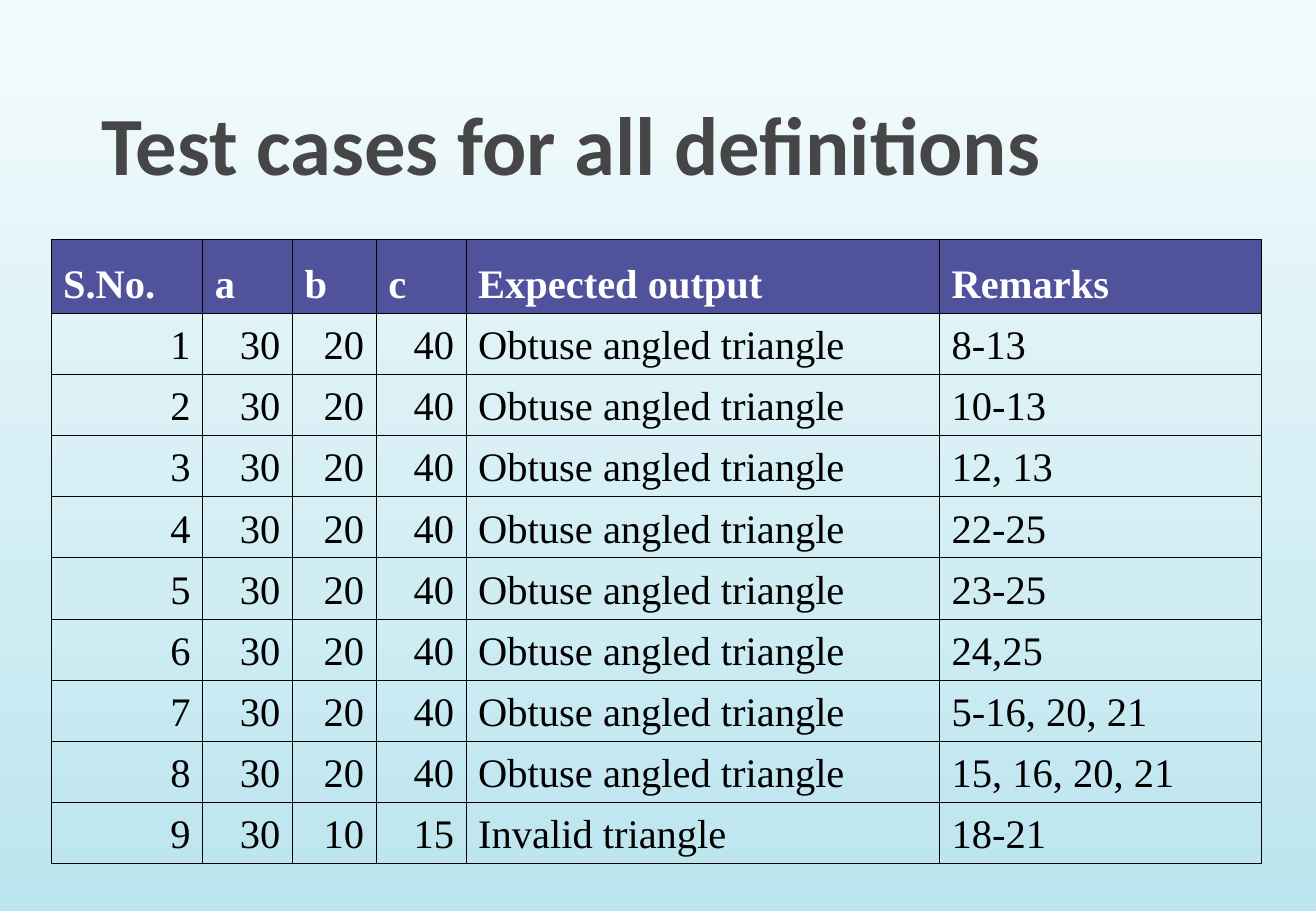
from lxml.etree import SubElement
from pptx import Presentation
from pptx.dml.color import RGBColor
from pptx.enum.text import MSO_ANCHOR as Anchor, MSO_AUTO_SIZE as AutoSize, PP_ALIGN as Align
from pptx.oxml.ns import qn
from pptx.util import Inches, Pt

COLORS = {
    "sky_top": "F4FBFC",
    "sky_bottom": "BCE5EF",
    "title": "464646",
    "header": "50529C",
    "header_text": "FFFFFF",
    "text": "000000",
    "border": "000000",
}

# Table content: headings, column widths and one row per test case
HEADINGS = ["S.No.", "a", "b", "c", "Expected output", "Remarks"]
COLUMN_WIDTHS = [1.25, 0.74, 0.69, 0.74, 3.9, 2.65]
NUMBER_COLUMNS = 4
OBTUSE_REMARKS = ["8-13", "10-13", "12, 13", "22-25", "23-25", "24,25",
                  "5-16, 20, 21", "15, 16, 20, 21"]
CASES = [(30, 20, 40, "Obtuse angled triangle", remark) for remark in OBTUSE_REMARKS]
CASES.append((30, 10, 15, "Invalid triangle", "18-21"))


def color(name):
    return RGBColor.from_string(COLORS[name])


def write_text(text_frame, text, font="Times New Roman", size=24, fill="text",
               bold=False, align=Align.LEFT, hanging=0):
    """Put one formatted paragraph into a text frame."""
    paragraph = text_frame.paragraphs[0]
    paragraph.alignment = align
    if hanging:
        properties = paragraph._p.get_or_add_pPr()
        properties.set("marL", str(Inches(hanging)))
        properties.set("indent", str(-Inches(hanging)))
    run = paragraph.add_run()
    run.text = text
    run.font.name = font
    run.font.size = Pt(size)
    run.font.bold = bold
    run.font.color.rgb = color(fill)


class SlideBuilder:
    """Holds the current slide and its table style."""

    border_width = 0.45
    hanging = 0.41

    def __init__(self, slide):
        self.slide = slide

    def background(self, top, bottom):
        fill = self.slide.background.fill
        fill.gradient()
        fill.gradient_angle = 270
        for stop, name in zip(fill.gradient_stops, (top, bottom)):
            stop.color.rgb = color(name)

    def title(self, text, left, top, width, height):
        shape = self.slide.shapes.title
        shape.left, shape.top = Inches(left), Inches(top)
        shape.width, shape.height = Inches(width), Inches(height)
        frame = shape.text_frame
        frame.word_wrap = True
        frame.auto_size = AutoSize.NONE
        frame.vertical_anchor = Anchor.BOTTOM
        frame.margin_left = frame.margin_right = Inches(0.12)
        frame.margin_top = frame.margin_bottom = Inches(0.06)
        write_text(frame, text, font="Calibri", size=49, fill="title", bold=True)

    def borders(self, cell):
        properties = cell._tc.get_or_add_tcPr()
        for side in ("a:lnL", "a:lnR", "a:lnT", "a:lnB"):
            line = SubElement(properties, qn(side), w=str(Pt(self.border_width)))
            solid = SubElement(line, qn("a:solidFill"))
            SubElement(solid, qn("a:srgbClr"), val=COLORS["border"])

    def cell(self, cell, text, is_header, is_number):
        cell.vertical_anchor = Anchor.BOTTOM
        cell.margin_left = cell.margin_right = Inches(0.1)
        cell.margin_top = cell.margin_bottom = Inches(0.05)
        self.borders(cell)
        if is_header:
            cell.fill.solid()
            cell.fill.fore_color.rgb = color("header")
        else:
            cell.fill.background()
        write_text(cell.text_frame, text, bold=is_header,
                   fill="header_text" if is_header else "text",
                   align=Align.RIGHT if is_number else Align.LEFT,
                   hanging=self.hanging)

    def table(self, rows, widths, left, top, height, header_height):
        frame = self.slide.shapes.add_table(
            len(rows), len(widths), Inches(left), Inches(top),
            Inches(sum(widths)), Inches(height))
        table = frame.table
        table.horz_banding = False
        for column, width in zip(table.columns, widths):
            column.width = Inches(width)
        row_height = (height - header_height) / (len(rows) - 1)
        for i, values in enumerate(rows):
            is_header = i == 0
            table.rows[i].height = Inches(header_height if is_header else row_height)
            for j, value in enumerate(values):
                is_number = not is_header and j < NUMBER_COLUMNS
                self.cell(table.cell(i, j), str(value), is_header, is_number)


def main():
    presentation = Presentation()
    presentation.slide_width = Inches(10.84)
    presentation.slide_height = Inches(7.5)
    title_only = presentation.slide_layouts[5]
    builder = SlideBuilder(presentation.slides.add_slide(title_only))

    builder.background("sky_top", "sky_bottom")
    builder.title("Test cases for all definitions", 0.72, 0.17, 9.66, 1.47)

    # Test case table, numbered from 1
    rows = [HEADINGS] + [(number, *case) for number, case in enumerate(CASES, 1)]
    builder.table(rows, COLUMN_WIDTHS, left=0.42, top=1.97, height=5.14,
                  header_height=0.61)

    presentation.save("out.pptx")


if __name__ == "__main__":
    main()
